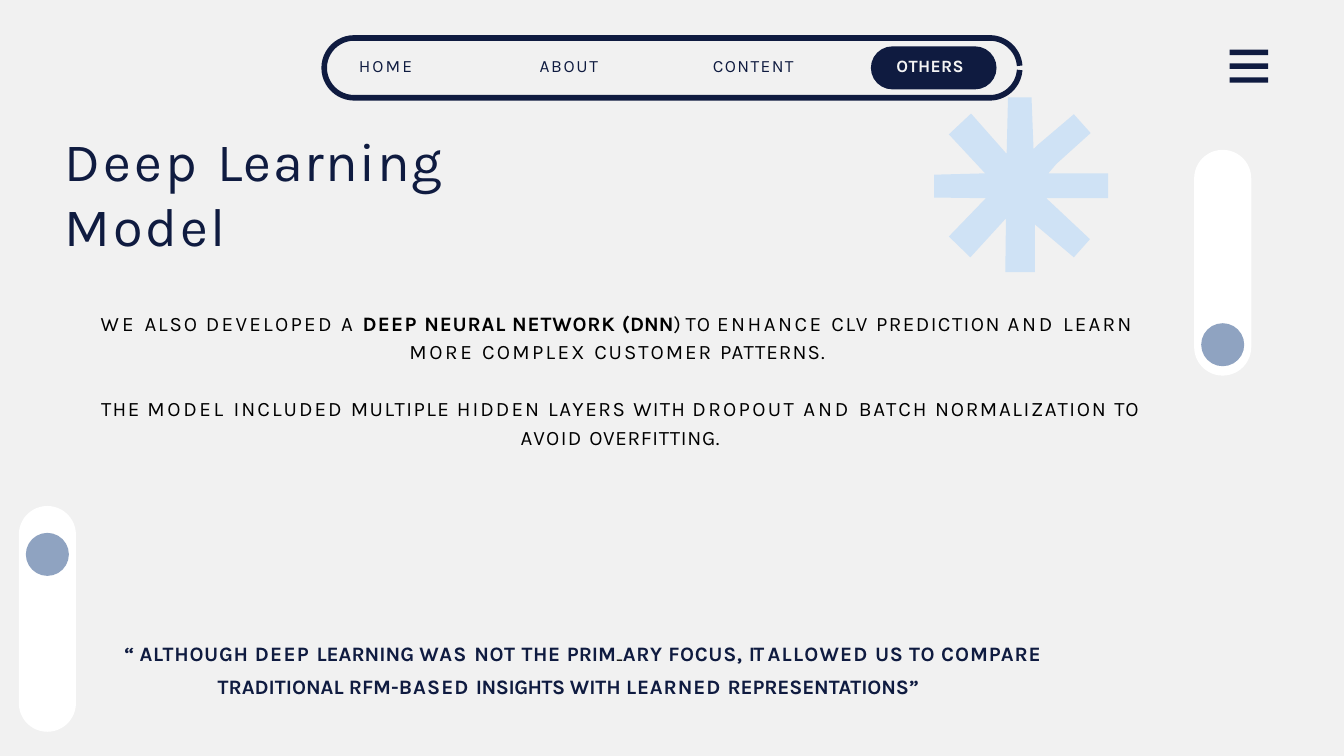
import math
from pptx import Presentation
from pptx.dml.color import RGBColor
from pptx.enum import shapes, text
from pptx.util import Inches, Pt

NAVY = RGBColor(0x0F, 0x1B, 0x40)
PALE = RGBColor(0xF1, 0xF1, 0xF1)
LIGHT = RGBColor(0xF4, 0xF4, 0xF4)
SKY = RGBColor(0xCF, 0xE2, 0xF5)
STEEL = RGBColor(0x8F, 0xA3, 0xC1)
WHITE = RGBColor(0xFF, 0xFF, 0xFF)
BLACK = RGBColor(0, 0, 0)
FONT = "Karla"
MSO = shapes.MSO_SHAPE


def add_filled(parent, kind, x, y, w, h, color):
    sp = parent.shapes.add_shape(kind, Inches(x), Inches(y), Inches(w), Inches(h))
    sp.shadow.inherit = False
    sp.fill.solid()
    sp.fill.fore_color.rgb = color
    sp.line.fill.background()
    if kind == MSO.ROUNDED_RECTANGLE:
        sp.adjustments[0] = 0.5
    return sp


def add_runs(sp, p, runs, size, color, bold=False, top=0.01):
    tf = sp.text_frame
    tf.word_wrap = True
    tf.auto_size = text.MSO_AUTO_SIZE.NONE
    tf.vertical_anchor = text.MSO_ANCHOR.TOP
    tf.margin_left = tf.margin_right = tf.margin_bottom = 0
    tf.margin_top = Inches(top)
    for words, spacing in runs:
        r = p.add_run()
        r.text = words
        r.font.name = FONT
        r.font.size = Pt(size)
        r.font.bold = bold
        r.font.color.rgb = color
        r._r.get_or_add_rPr().set("spc", str(round(spacing * 100)))


prs = Presentation()
prs.slide_width = Inches(20)
prs.slide_height = Inches(11.25)
s = prs.slides.add_slide(prs.slide_layouts[5])
s.background.fill.solid()
s.background.fill.fore_color.rgb = PALE

radius, mid = 0.445, 1.01
frame = []
for cx, start, end in [(14.73, 4, 90), (5.27, 90, 270), (14.73, 270, 356)]:
    for i in range(25):
        a = math.radians(start + (end - start) * i / 24)
        frame.append((Inches(cx + radius * math.cos(a)), Inches(mid + radius * math.sin(a))))
fb = s.shapes.build_freeform(*frame[0])
fb.add_line_segments(frame[1:], close=False)
sp = fb.convert_to_shape()
sp.shadow.inherit = False
sp.fill.background()
sp.line.color.rgb = NAVY
sp.line.width = Pt(6)

add_filled(s, MSO.ROUNDED_RECTANGLE, 12.96, 0.69, 1.87, 0.64, NAVY)
for i in range(3):
    add_filled(s, MSO.RECTANGLE, 18.3, 0.74 + 0.205 * i, 0.57, 0.08, NAVY)

for label, x, w, spacing, color in [
    ("HOME", 5.34, 0.97, 2.3, NAVY),
    ("ABOUT", 8.03, 1.07, 1.8, NAVY),
    ("CONTENT", 10.61, 1.42, 1.5, NAVY),
    ("OTHERS", 13.34, 1.24, 0.4, LIGHT),
]:
    sp = s.shapes.add_textbox(Inches(x), Inches(0.81), Inches(w), Inches(0.34))
    add_runs(sp, sp.text_frame.paragraphs[0], [(label, spacing)], 18.5, color, color == LIGHT)

star = [
    (15.4, 4.05), (14.96, 4.05), (14.97, 3.25), (14.44, 3.83), (14.12, 3.52), (14.67, 2.95),
    (13.9, 2.94), (13.9, 2.6), (14.66, 2.58), (14.12, 2), (14.45, 1.69), (14.98, 2.29),
    (15, 1.45), (15.35, 1.45), (15.38, 2.22), (15.45, 2.15), (15.98, 1.7), (16.23, 1.98),
    (15.72, 2.44), (15.6, 2.58), (16.49, 2.58), (16.49, 2.95), (15.57, 2.95), (16.22, 3.56),
    (15.98, 3.83), (15.4, 3.34),
]
points = [(Inches(x), Inches(y)) for x, y in star]
fb = s.shapes.build_freeform(*points[0])
fb.add_line_segments(points[1:])
sp = fb.convert_to_shape()
sp.shadow.inherit = False
sp.fill.solid()
sp.fill.fore_color.rgb = SKY
sp.line.fill.background()

title = s.shapes.title
title.left, title.top = Inches(0.96), Inches(1.86)
title.width, title.height = Inches(7.92), Inches(1)
p = title.text_frame.paragraphs[0]
p.alignment = text.PP_ALIGN.LEFT
add_runs(title, p, [("Deep ", 3.6), ("Learning ", 1.7), ("Model", 3.1)], 58, NAVY, top=0.03)

for x, y, knob_y in [(0.28, 7.53, 7.93), (17.77, 2.23, 4.81)]:
    slider = s.shapes.add_group_shape()
    add_filled(slider, MSO.ROUNDED_RECTANGLE, x, y, 0.85, 3.36, WHITE)
    add_filled(slider, MSO.OVAL, x + 0.105, knob_y, 0.64, 0.64, STEEL)

body = s.shapes.add_textbox(Inches(1.18), Inches(4.55), Inches(16.01), Inches(2.16))
tf = body.text_frame
p = tf.paragraphs[0]
add_runs(body, p, [("WE ", 3.3), ("ALSO ", 2), ("DEVELOPED A ", 2.5)], 22, BLACK)
add_runs(body, p, [("DEEP ", 1.4), ("NEURAL NETWORK ", 0.9), ("(DNN", 0)], 22, BLACK, True)
add_runs(body, p, [
    (") ", 0), ("TO ", 1.1), ("ENHANCE ", 2.7), ("CLV ", 1.9), ("PREDICTION ", 1.6),
    ("AND ", 3), ("LEARN ", 2.4), ("MORE ", 2.8), ("COMPLEX ", 2.5), ("CUSTOMER ", 2.1),
    ("PATTERNS.", 1.2),
], 22, BLACK)
p = tf.add_paragraph()
p.space_before = Pt(30)
p._p.get_or_add_pPr().set("marL", str(Inches(0.09)))
add_runs(body, p, [
    ("THE ", 1.6), ("MODEL ", 2.9), ("INCLUDED ", 2.2), ("MULTIPLE ", 1.6), ("HIDDEN ", 2.2),
    ("LAYERS ", 1.8), ("WITH ", 1.3), ("DROPOUT ", 2.5), ("AND ", 3), ("BATCH ", 2),
    ("NORMALIZATION ", 1.8), ("TO ", 0.9), ("AVOID ", 1.6), ("OVERFITTING.", 0.8),
], 22, BLACK)
for p in tf.paragraphs:
    p.alignment = text.PP_ALIGN.CENTER
    p.line_spacing = 1.17

quote = s.shapes.add_textbox(Inches(1.81), Inches(9.21), Inches(15.09), Inches(0.92))
p = quote.text_frame.paragraphs[0]
p.line_spacing = 1.13
pPr = p._p.get_or_add_pPr()
pPr.set("marL", str(Inches(1.43)))
pPr.set("indent", str(Inches(-1.39)))
add_runs(quote, p, [
    ("“ ", 0), ("ALTHOUGH ", 0.8), ("DEEP ", 1.4), ("LEARNING ", 0), ("WAS ", 1.4),
    ("NOT THE ", 0.7), ("P", -0.3), ("RI", -0.1), ("M", -3.8),
], 22, NAVY, True)
add_runs(quote, p, [("-", -8.2)], 36.8, BLACK)
p.runs[-1]._r.get_or_add_rPr().set("baseline", "-15000")
add_runs(quote, p, [
    ("ARY ", 0.6), ("FOCUS, ", 0.7), ("IT ", -1.8), ("ALLOWED ", 1.3), ("US ", 0.6),
    ("TO ", 0.7), ("COMPARE ", 1), ("TRADITIONAL RFM-", 0), ("BASED ", 1.2),
    ("INSIGHTS ", -0.5), ("WITH ", 0), ("LEARNED ", 1), ("REPRESENTATIONS”", -0.1),
], 22, NAVY, True, top=0.04)

prs.save("out.pptx")
